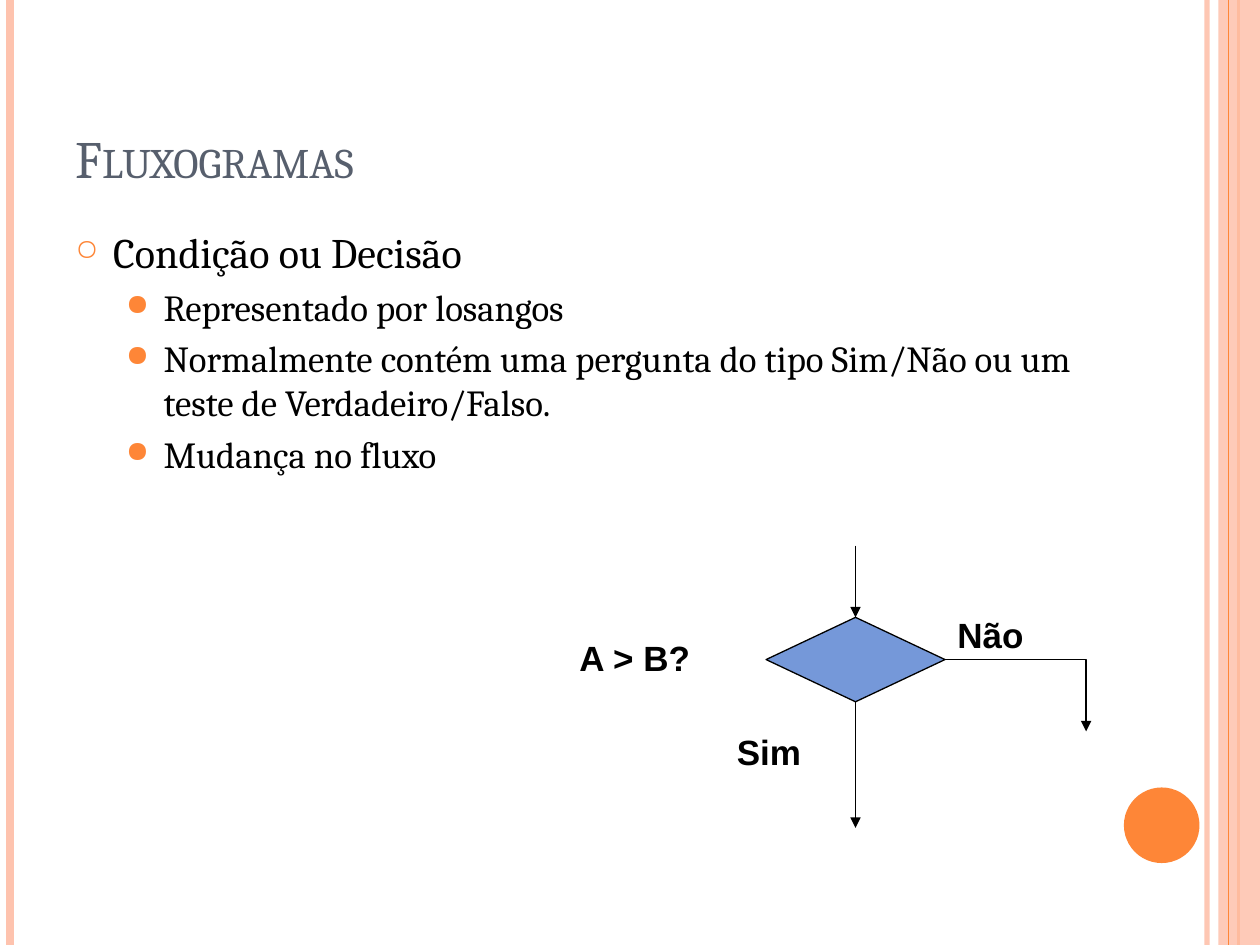
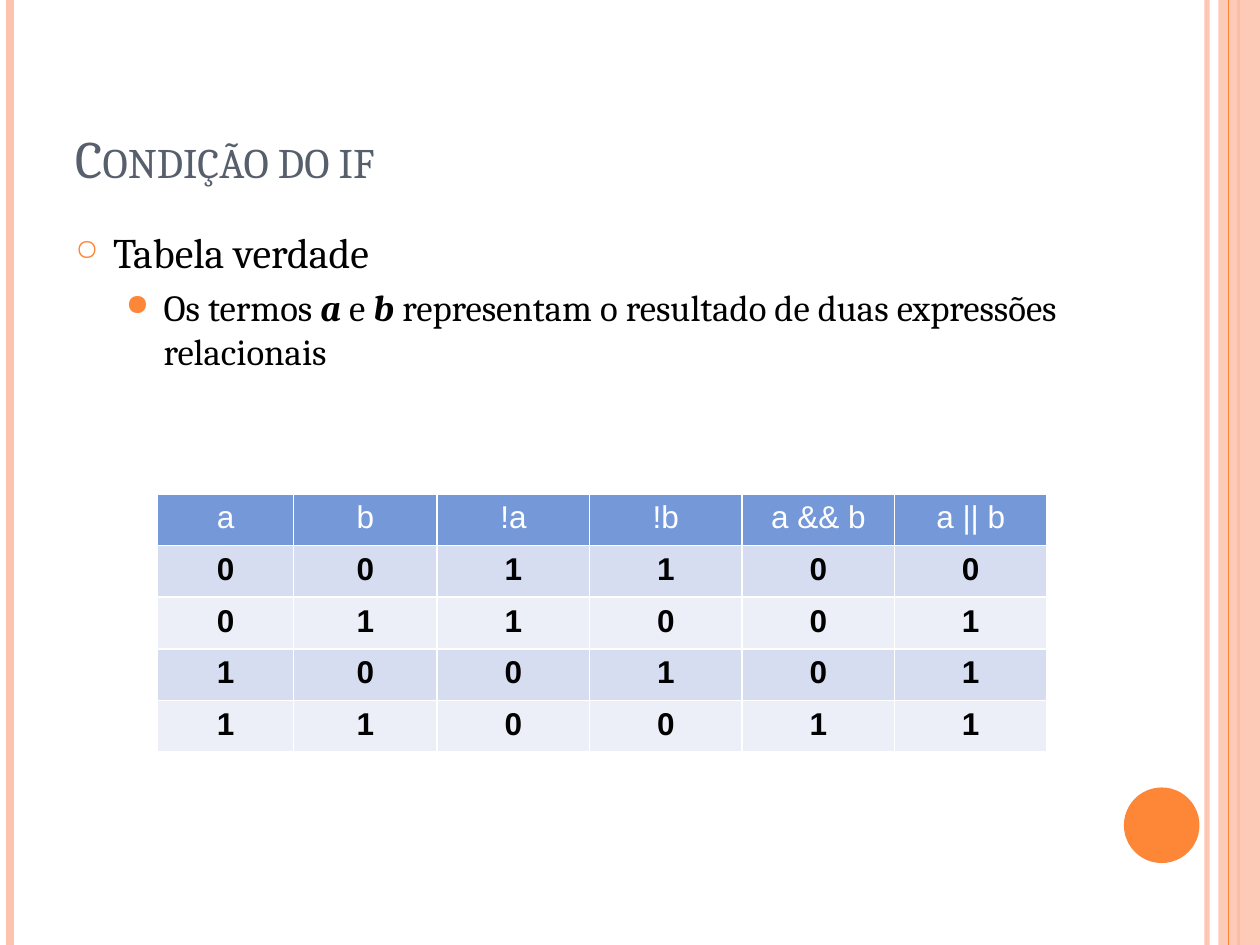
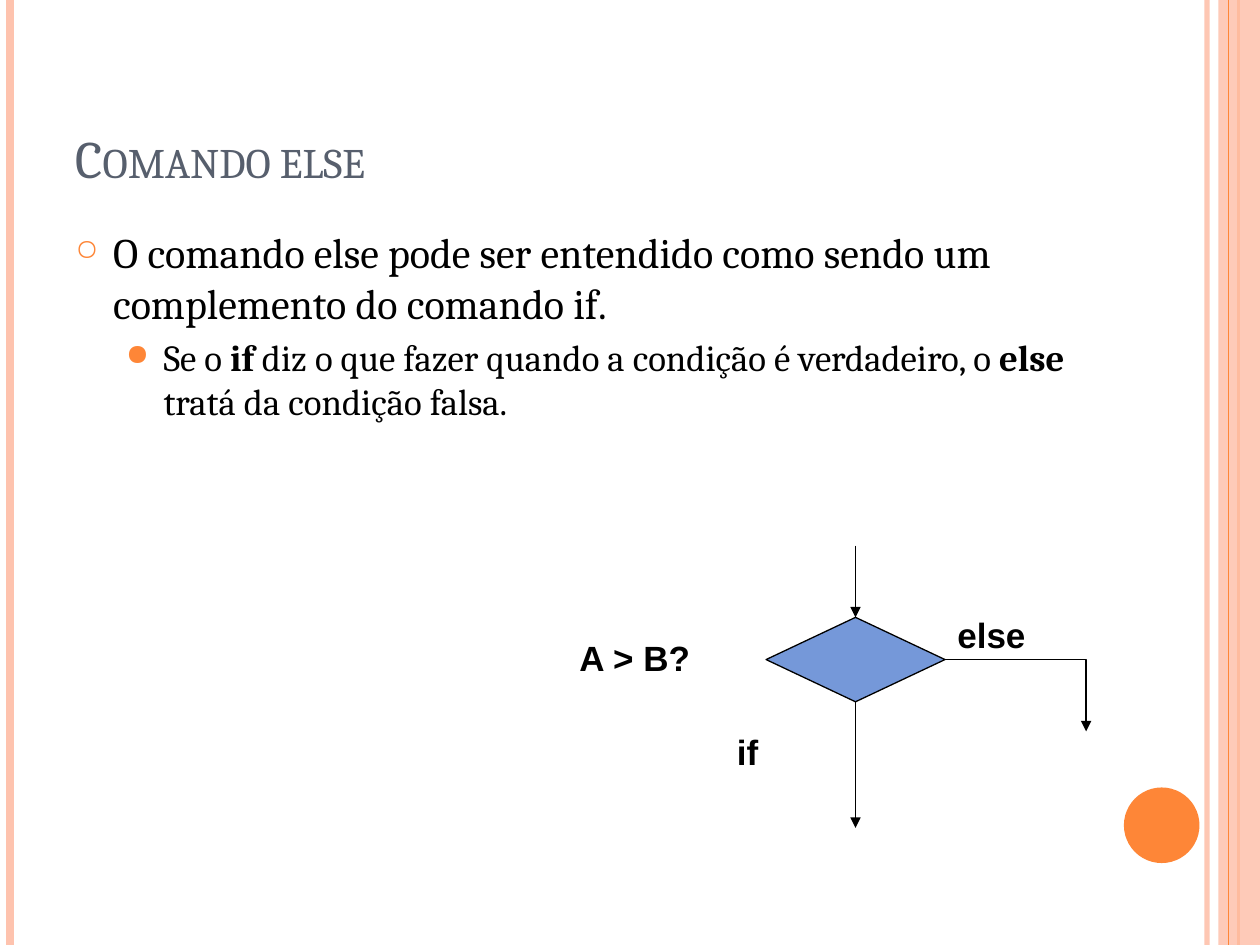
"""Builds three slides on decisions: flowchart, truth table and else command."""
from lxml.etree import SubElement
from pptx import Presentation
from pptx.dml.color import RGBColor
from pptx.enum.shapes import MSO_CONNECTOR, MSO_SHAPE
from pptx.enum.text import MSO_ANCHOR, PP_ALIGN
from pptx.oxml.ns import qn
from pptx.util import Inches, Pt

WIDTH, HEIGHT = 10, 7.5
ORANGE = RGBColor(0xFE, 0x86, 0x37)
PEACH = RGBColor(0xFE, 0xC3, 0xAE)
SLATE = RGBColor(0x57, 0x5F, 0x6D)
BLUE = RGBColor(0x75, 0x98, 0xD9)
ROW_TINTS = RGBColor(0xD6, 0xDD, 0xF1), RGBColor(0xEC, 0xEF, 0xF8)
BLACK = RGBColor(0, 0, 0)
WHITE = RGBColor(0xFF, 0xFF, 0xFF)
SERIF, SANS = "Cambria", "Arial"

LEFT, TEXT_WIDTH = 0.5, 8.17
LEVELS = [
    {"size": 24, "indent": 0.3, "before": 6, "bullet": "○", "bullet_size": 70},
    {"size": 21, "indent": 0.7, "before": 4.2, "bullet": "●", "bullet_size": 80},
]
HANGING = 0.3

SLIDES = [
    {
        "title": "Fluxogramas",
        "body": [
            (0, [("Condição ou Decisão", "")]),
            (1, [("Representado por losangos", "")]),
            (1, [("Normalmente contém uma pergunta do tipo Sim/Não ou um teste de "
                  "Verdadeiro/Falso.", "")]),
            (1, [("Mudança no fluxo", "")]),
        ],
        "decision": ("A > B?", "Sim", "Não"),
    },
    {
        "title": "Condição do if",
        "body": [
            (0, [("Tabela verdade", "")]),
            (1, [("Os termos ", ""), ("a", "bi"), (" e ", ""), ("b", "bi"),
                 (" representam o resultado de duas expressões relacionais", "")]),
        ],
        "table": [
            ("a", "b", "!a", "!b", "a && b", "a || b"),
            ("0", "0", "1", "1", "0", "0"),
            ("0", "1", "1", "0", "0", "1"),
            ("1", "0", "0", "1", "0", "1"),
            ("1", "1", "0", "0", "1", "1"),
        ],
    },
    {
        "title": "Comando else",
        "body": [
            (0, [("O comando else pode ser entendido como sendo um complemento do "
                  "comando if.", "")]),
            (1, [("Se o ", ""), ("if", "b"),
                 (" diz o que fazer quando a condição é verdadeiro, o ", ""),
                 ("else", "b"), (" tratá da condição falsa.", "")]),
        ],
        "decision": ("A > B?", "if", "else"),
    },
]
COLUMN_WIDTHS = [1.08, 1.14] + [1.21] * 4
ROW_HEIGHT = 0.41


def inches(*lengths):
    return [Inches(length) for length in lengths]


def set_alpha(fill_parent, percent):
    color = next(fill_parent.iter(qn("a:srgbClr")))
    SubElement(color, qn("a:alpha"), val=str(percent * 1000))


def style_run(run, font, size, color, style=""):
    run.font.name, run.font.size = font, Pt(size)
    run.font.color.rgb = color
    run.font.bold, run.font.italic = "b" in style, "i" in style


def add_line(slide, start, end, color, width, arrow=False, bent=False):
    kind = MSO_CONNECTOR.ELBOW if bent else MSO_CONNECTOR.STRAIGHT
    connector = slide.shapes.add_connector(kind, *inches(*start, *end))
    connector.line.color.rgb, connector.line.width = color, Pt(width)
    properties = connector._element.spPr
    if bent:
        properties.find(qn("a:prstGeom")).set("prst", "bentConnector2")
    if arrow:
        SubElement(properties.find(qn("a:ln")), qn("a:tailEnd"), type="triangle")
    SubElement(properties, qn("a:effectLst"))
    return connector


def add_shape(slide, kind, box, fill, outline=None):
    shape = slide.shapes.add_shape(kind, *inches(*box))
    shape.shadow.inherit = False
    shape.fill.solid()
    shape.fill.fore_color.rgb = fill
    if outline is None:
        shape.line.fill.background()
    else:
        shape.line.color.rgb, shape.line.width = outline, Pt(0.75)
    return shape


def add_text_frame(slide, box):
    text_frame = slide.shapes.add_textbox(*inches(*box)).text_frame
    text_frame.word_wrap = True
    return text_frame


def add_bands(slide):
    def band(x, color, width):
        return add_line(slide, (x, 0), (x, HEIGHT), color, width)

    set_alpha(band(9.58, PEACH, 3)._element, 93)
    band(0.08, PEACH, 4.5)
    band(9.83, ORANGE, 1.5)
    strip = add_shape(slide, MSO_SHAPE.RECTANGLE, (9.67, 0, WIDTH - 9.67, HEIGHT), PEACH)
    set_alpha(strip._element.spPr, 87)
    band(9.75, ORANGE, 0.75)
    add_shape(slide, MSO_SHAPE.OVAL, (8.92, 6.25, 0.6, 0.6), ORANGE)


def add_title(slide, title):
    text_frame = add_text_frame(slide, (LEFT, 0.3, TEXT_WIDTH, 1.25))
    text_frame.vertical_anchor = MSO_ANCHOR.BOTTOM
    text_frame.text = title
    run = text_frame.paragraphs[0].runs[0]
    style_run(run, SERIF, 30, SLATE)
    run.font._element.set("cap", "small")


def add_body(slide, body):
    text_frame = add_text_frame(slide, (LEFT, 1.75, TEXT_WIDTH, 5.33))
    for index, (depth, parts) in enumerate(body):
        level = LEVELS[depth]
        paragraph = text_frame.add_paragraph() if index else text_frame.paragraphs[0]
        paragraph.level = depth
        paragraph.space_before = Pt(level["before"])
        properties = paragraph._p.get_or_add_pPr()
        properties.set("marL", str(Inches(level["indent"])))
        properties.set("indent", str(-Inches(HANGING)))
        bullet_color = SubElement(properties, qn("a:buClr"))
        SubElement(bullet_color, qn("a:srgbClr"), val=str(ORANGE))
        SubElement(properties, qn("a:buSzPct"), val=str(level["bullet_size"] * 1000))
        SubElement(properties, qn("a:buChar"), char=level["bullet"])
        for text, style in parts:
            run = paragraph.add_run()
            run.text = text
            style_run(run, SERIF, level["size"], BLACK, style)


def add_decision(slide, labels):
    left, top, width, height = 6.08, 4.9, 1.42, 0.67
    center, middle = left + width / 2, top + height / 2
    right, bottom = left + width, top + height
    add_shape(slide, MSO_SHAPE.FLOWCHART_DECISION, (left, top, width, height), BLUE, BLACK)
    for start, end, bent in [
        ((center, top - 0.57), (center, top), False),
        ((right, middle), (right + 1.12, middle + 0.57), True),
        ((center, bottom), (center, bottom + 1), False),
    ]:
        add_line(slide, start, end, BLACK, 0.75, arrow=True, bent=bent)
    for text, place in zip(labels, [(4.5, 5), (5.75, 5.75), (right, 4.82)]):
        text_frame = add_text_frame(slide, (*place, 1.67, 0.43))
        text_frame.text = text
        style_run(text_frame.paragraphs[0].runs[0], SANS, 20, BLACK, "b")


def style_cell(cell, text, fill, color, style):
    cell.text = text
    paragraph = cell.text_frame.paragraphs[0]
    paragraph.alignment = PP_ALIGN.CENTER
    style_run(paragraph.runs[0], SANS, 18, color, style)
    properties = cell._tc.get_or_add_tcPr()
    for side in ("lnL", "lnR", "lnT", "lnB"):
        border = SubElement(properties, qn(f"a:{side}"), w=str(Pt(1)))
        SubElement(SubElement(border, qn("a:solidFill")), qn("a:srgbClr"), val=str(WHITE))
    cell.fill.solid()
    cell.fill.fore_color.rgb = fill


def add_truth_table(slide, rows):
    box = inches(1.25, 3.92, sum(COLUMN_WIDTHS), ROW_HEIGHT * len(rows))
    table = slide.shapes.add_table(len(rows), len(COLUMN_WIDTHS), *box).table
    for column, width in zip(table.columns, COLUMN_WIDTHS):
        column.width = Inches(width)
    for row_index, row in enumerate(rows):
        if row_index == 0:
            look = BLUE, WHITE, ""
        else:
            look = ROW_TINTS[(row_index - 1) % 2], BLACK, "b"
        for column_index, text in enumerate(row):
            style_cell(table.cell(row_index, column_index), text, *look)


def main():
    presentation = Presentation()
    presentation.slide_width, presentation.slide_height = inches(WIDTH, HEIGHT)
    for content in SLIDES:
        slide = presentation.slides.add_slide(presentation.slide_layouts[6])
        add_bands(slide)
        add_title(slide, content["title"])
        add_body(slide, content["body"])
        if "decision" in content:
            add_decision(slide, content["decision"])
        if "table" in content:
            add_truth_table(slide, content["table"])
    presentation.save("out.pptx")


if __name__ == "__main__":
    main()
